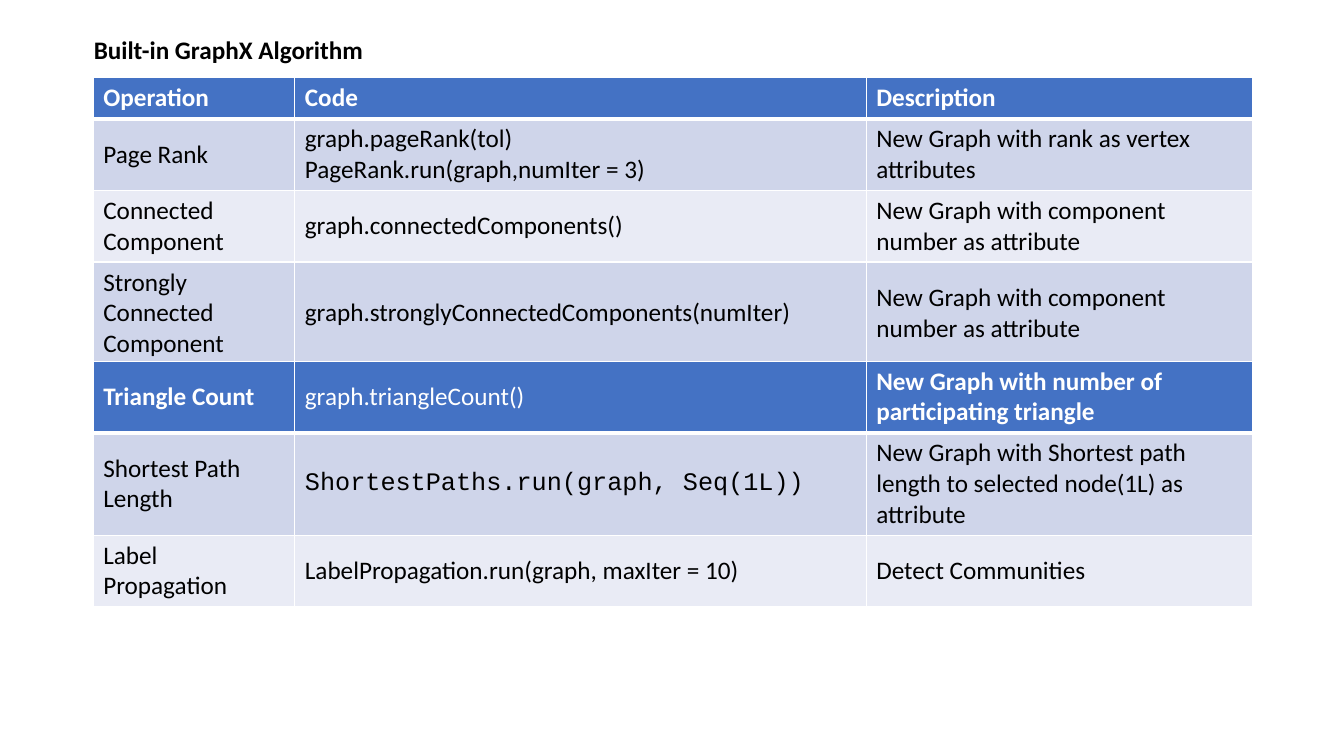
from pptx import Presentation
from pptx.dml.color import RGBColor
from pptx.enum.text import MSO_ANCHOR, MSO_AUTO_SIZE, PP_ALIGN
from pptx.oxml.ns import qn
from pptx.util import Cm, Pt
from lxml.etree import SubElement

BLACK = RGBColor(0x00, 0x00, 0x00)
WHITE = RGBColor(0xFF, 0xFF, 0xFF)
BLUE = RGBColor(0x44, 0x72, 0xC4)
BANDS = [RGBColor(0xCF, 0xD5, 0xEA), RGBColor(0xE9, 0xEB, 0xF5)]

BODY_FONT = "Calibri"
CODE_FONT = "Courier New"
COLUMN_WIDTHS = [Cm(5.08), Cm(14.4), Cm(9.73)]
ROW_PADDING = Cm(0.26)
LINE_HEIGHT = Cm(0.77)

GRAPH_ROWS = [
    (1, ["Operation", "Code", "Description"]),
    (2, ["Page Rank", "graph.pageRank(tol)\nPageRank.run(graph,numIter = 3)",
         "New Graph with rank as vertex attributes"]),
    (2, ["Connected Component", "graph.connectedComponents()",
         "New Graph with component number as attribute"]),
    (3, ["Strongly Connected Component",
         "graph.stronglyConnectedComponents(numIter)",
         "New Graph with component number as attribute"]),
]
TRIANGLE_ROWS = [
    (2, ["Triangle Count", "graph.triangleCount()",
         "New Graph with number of participating triangle"]),
    (3, ["Shortest Path Length", "ShortestPaths.run(graph, Seq(1L))",
         "New Graph with Shortest path length to selected node(1L) as attribute"]),
    (2, ["Label Propagation", "LabelPropagation.run(graph, maxIter = 10)",
         "Detect Communities"]),
]
PLAIN_HEADERS = {"graph.triangleCount()"}
MONOSPACED = {"ShortestPaths.run(graph, Seq(1L))"}


def format_text(frame, color, bold, font=BODY_FONT):
    for para in frame.paragraphs:
        para.alignment = PP_ALIGN.LEFT
        for span in para.runs:
            span.font.name = font
            span.font.size = Pt(18)
            span.font.bold = bold
            span.font.color.rgb = color


def add_borders(cell, bottom_width):
    properties = cell._tc.get_or_add_tcPr()
    for side, width in (("L", 1), ("R", 1), ("T", 1), ("B", bottom_width)):
        line = SubElement(properties, qn(f"a:ln{side}"), w=str(Pt(width)))
        fill = SubElement(line, qn("a:solidFill"))
        SubElement(fill, qn("a:srgbClr"), val=str(WHITE))


def format_cell(cell, text, row_index):
    header = row_index == 0
    cell.text_frame.text = text
    cell.vertical_anchor = MSO_ANCHOR.MIDDLE
    add_borders(cell, 3 if header else 1)
    cell.fill.solid()
    cell.fill.fore_color.rgb = BLUE if header else BANDS[(row_index - 1) % 2]
    format_text(cell.text_frame, WHITE if header else BLACK,
                header and text not in PLAIN_HEADERS,
                CODE_FONT if text in MONOSPACED else BODY_FONT)


def add_algorithm_table(page, left, top, rows):
    heights = [ROW_PADDING + LINE_HEIGHT * lines for lines, _ in rows]
    frame = page.shapes.add_table(len(rows), len(COLUMN_WIDTHS), left, top,
                                  sum(COLUMN_WIDTHS), sum(heights))
    table = frame.table
    for column, width in zip(table.columns, COLUMN_WIDTHS):
        column.width = width
    for row_index, (_, texts) in enumerate(rows):
        table.rows[row_index].height = heights[row_index]
        for column_index, text in enumerate(texts):
            format_cell(table.cell(row_index, column_index), text, row_index)


def place_title(page, left, top, width, height):
    title = page.shapes.title
    title.left, title.top, title.width, title.height = left, top, width, height
    frame = title.text_frame
    frame.text = "Built-in GraphX Algorithm"
    frame.word_wrap = True
    frame.auto_size = MSO_AUTO_SIZE.NONE
    frame.vertical_anchor = MSO_ANCHOR.TOP
    format_text(frame, BLACK, True)


def main():
    deck = Presentation()
    deck.slide_width, deck.slide_height = Cm(33.87), Cm(19.05)
    page = deck.slides.add_slide(deck.slide_layouts[5])
    place_title(page, Cm(2.11), Cm(0.74), Cm(9.86), Cm(1.02))
    add_algorithm_table(page, Cm(2.35), Cm(1.96), GRAPH_ROWS)
    add_algorithm_table(page, Cm(2.35), Cm(9.1), TRIANGLE_ROWS)
    deck.save("out.pptx")


if __name__ == "__main__":
    main()
